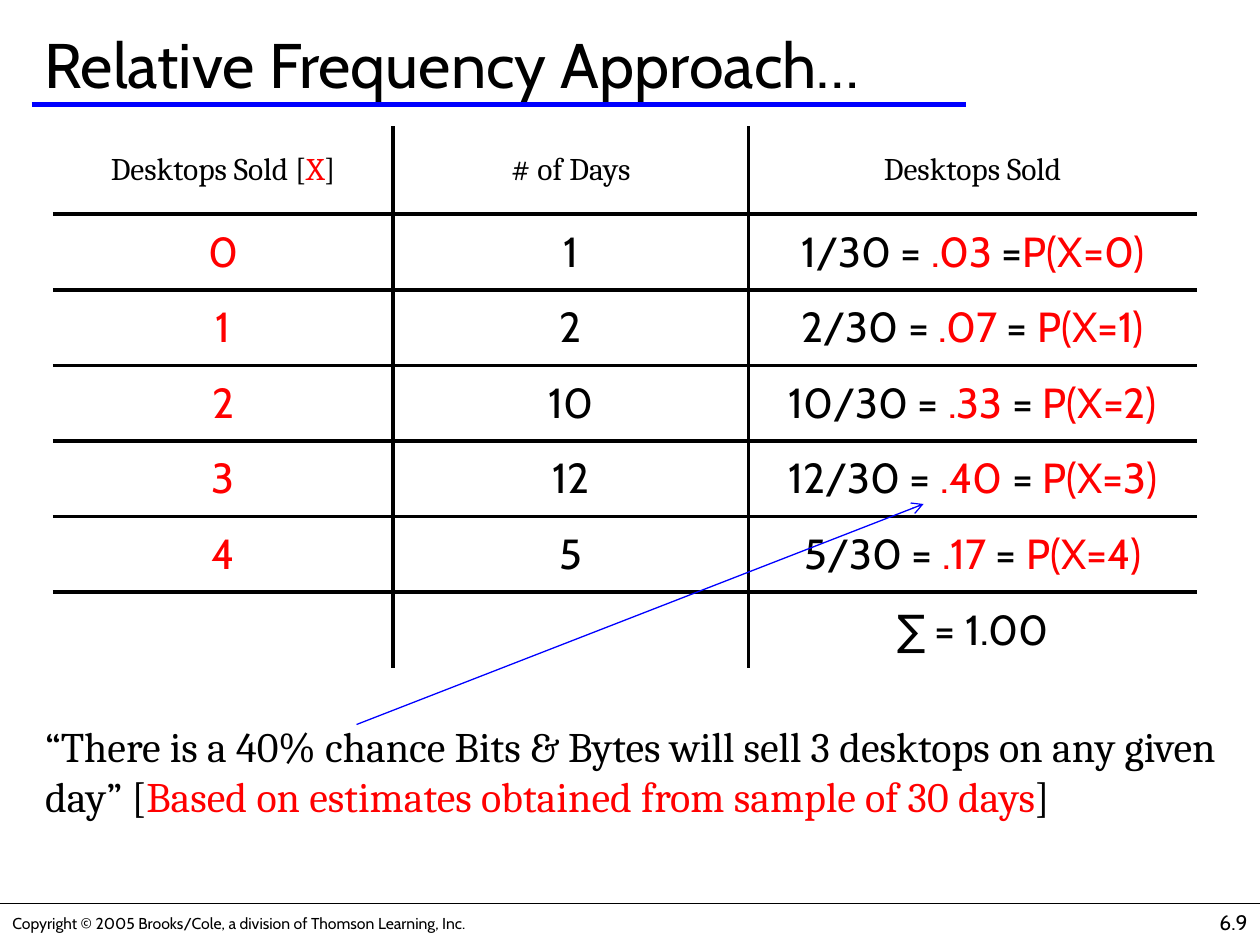
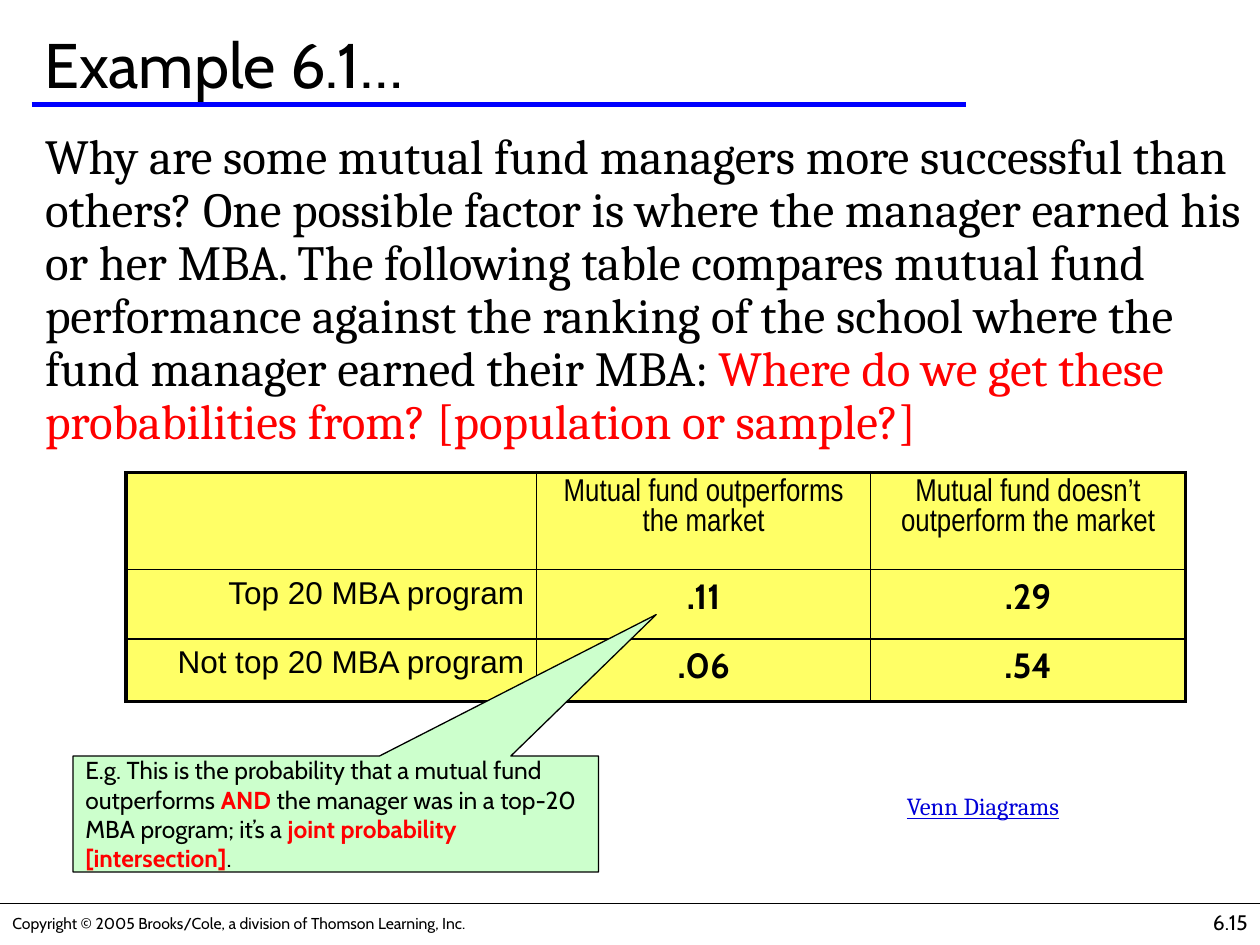
from lxml import etree
from pptx import Presentation
from pptx.dml.color import RGBColor
from pptx.enum.shapes import MSO_CONNECTOR, MSO_SHAPE
from pptx.enum.text import MSO_ANCHOR, MSO_AUTO_SIZE, PP_ALIGN
from pptx.oxml.ns import qn
from pptx.util import Inches, Pt

COLORS = {"ink": "000000", "accent": "FF0000", "rule": "0000FF", "link": "0000D8",
          "cell": "FFFF66", "callout": "CCFFCC"}
HEAD, BODY = "Cabin", "Cambria"
LEFT, CENTER, RIGHT = PP_ALIGN.LEFT, PP_ALIGN.CENTER, PP_ALIGN.RIGHT
TOP, MIDDLE = MSO_ANCHOR.TOP, MSO_ANCHOR.MIDDLE

# In every text, a bar switches between ink and accent colour.
COPYRIGHT = "Copyright © 2005 Brooks/Cole, a division of Thomson Learning, Inc."

FREQUENCY = {
    "title": "Relative Frequency Approach…", "number": "6.9",
    "quote": "“There is a 40% chance Bits & Bytes will sell 3 desktops on any given day” "
             "[|Based on estimates obtained from sample of 30 days|]",
    "rows": [
        ("Desktops Sold [|X|]", "# of Days", "Desktops Sold"),
        ("|0", "1", "1/30 = |.03| =|P(X=0)"),
        ("|1", "2", "2/30 = |.07| = |P(X=1)"),
        ("|2", "10", "10/30 = |.33| = |P(X=2)"),
        ("|3", "12", "12/30 = |.40| = |P(X=3)"),
        ("|4", "5", "5/30 = |.17| = |P(X=4)"),
        ("", "", "∑ = 1.00"),
    ],
    "widths": (2.7, 2.82, 3.56), "heights": (0.7,) + (0.6,) * 6,
}

MBA = {
    "title": "Example 6.1…", "number": "6.15",
    "question": "Why are some mutual fund managers more successful than others? One possible "
                "factor is where the manager earned his or her MBA. The following table "
                "compares mutual fund performance against the ranking of the school where the "
                "fund manager earned their MBA: |Where do we get these probabilities from? "
                "[population or sample?]",
    "rows": [
        ("", "Mutual fund outperforms the market", "Mutual fund doesn’t outperform the market"),
        ("Top 20 MBA program", ".11", ".29"),
        ("Not top 20 MBA program", ".06", ".54"),
    ],
    "widths": (3.26, 2.65, 2.5), "heights": (0.77, 0.55, 0.5),
    "callout": "E.g. This is the probability that a mutual fund outperforms |AND| the manager "
               "was in a top-20 MBA program; it’s a |joint probability [intersection]|.",
    "link": "Venn Diagrams",
}


def rgb(name):
    return RGBColor.from_string(COLORS[name])


def write(tf, text, size, font, align=LEFT, bold=False, bold_accent=False, color="ink"):
    """Fill the first paragraph, colouring every second piece between bars."""
    tf.word_wrap = True
    p = tf.paragraphs[0]
    p.alignment = align
    for i, piece in enumerate(text.split("|")):
        if not piece:
            continue
        r = p.add_run()
        r.text = piece
        accent = i % 2 == 1
        r.font.size, r.font.name = Pt(size), font
        r.font.bold = bold or (accent and bold_accent)
        r.font.color.rgb = rgb("accent" if accent else color)
    return p


def add_text(slide, box, text, size, font, anchor=TOP, **style):
    tf = slide.shapes.add_textbox(*map(Inches, box)).text_frame
    tf.vertical_anchor = anchor
    return write(tf, text, size, font, **style)


def add_line(slide, start, end, color, width, arrow=False):
    line = slide.shapes.add_connector(MSO_CONNECTOR.STRAIGHT, *map(Inches, start + end))
    line.line.color.rgb, line.line.width = rgb(color), Pt(width)
    if arrow:
        etree.SubElement(line.line._get_or_add_ln(), qn("a:tailEnd"), type="arrow")
    etree.SubElement(line._element.spPr, qn("a:effectLst"))


def set_borders(cell, widths):
    """Set left, right, top and bottom lines in points; 0 means none."""
    tc_pr = cell._tc.get_or_add_tcPr()
    for i, (side, width) in enumerate(zip("LRTB", widths)):
        ln = etree.Element(qn(f"a:ln{side}"), w=str(Pt(width)))
        if width:
            fill = etree.SubElement(ln, qn("a:solidFill"))
            etree.SubElement(fill, qn("a:srgbClr"), val=COLORS["ink"])
        else:
            etree.SubElement(ln, qn("a:noFill"))
        tc_pr.insert(i, ln)


def add_grid(slide, content, left, top, outer, inner, anchor, style_of, fill=None):
    """Add a table; style_of(row, column) gives the text style of a cell."""
    rows, widths, heights = content["rows"], content["widths"], content["heights"]
    n_rows, n_cols = len(rows), len(widths)
    table = slide.shapes.add_table(n_rows, n_cols, Inches(left), Inches(top),
                                   Inches(sum(widths)), Inches(sum(heights))).table
    table.first_row = table.horz_banding = False
    for column, width in zip(table.columns, widths):
        column.width = Inches(width)
    for i, row in enumerate(rows):
        table.rows[i].height = Inches(heights[i])
        for j, text in enumerate(row):
            cell = table.cell(i, j)
            cell.vertical_anchor = anchor
            if fill:
                cell.fill.solid()
                cell.fill.fore_color.rgb = rgb(fill)
            else:
                cell.fill.background()
            at_edge = (j == 0, j == n_cols - 1, i == 0, i == n_rows - 1)
            set_borders(cell, [outer if edge else inner for edge in at_edge])
            write(cell.text_frame, text, **style_of(i, j))


def add_framed_slide(prs, content):
    """Add a slide with its title, rules, copyright line and page number."""
    slide = prs.slides.add_slide(prs.slide_layouts[5])
    add_text(slide, (0, 7.2, 4.78, 0.25), COPYRIGHT, 9, HEAD, MIDDLE)
    add_line(slide, (0, 7.17), (10, 7.17), "ink", 0.75)
    add_line(slide, (0.25, 0.83), (7.67, 0.83), "rule", 2.5)
    add_text(slide, (7.92, 7.17, 2.08, 0.33), content["number"], 12, HEAD, align=RIGHT)
    title = slide.shapes.title
    title.left, title.top, title.width, title.height = map(Inches, (0.25, 0.17, 9.58, 0.67))
    tf = title.text_frame
    tf.auto_size, tf.vertical_anchor = MSO_AUTO_SIZE.NONE, MIDDLE
    write(tf, content["title"], 36, HEAD)
    return slide


def frequency_style(row, column):
    size, font = (18, BODY) if row == 0 else (24, HEAD)
    return dict(size=size, font=font, align=CENTER)


def mba_style(row, column):
    if row == 0:
        return dict(size=18, font="Arial Narrow", align=CENTER)
    if column == 0:
        return dict(size=18, font="Arial", align=RIGHT)
    return dict(size=20, font=HEAD, align=CENTER, bold=True)


def build_frequency(prs):
    slide = add_framed_slide(prs, FREQUENCY)
    add_text(slide, (0.26, 5.67, 9.74, 1.33), FREQUENCY["quote"], 24, BODY)
    add_grid(slide, FREQUENCY, 0.42, 1, 0, 2.25, MIDDLE, frequency_style)
    add_line(slide, (2.83, 5.75), (7.33, 4), "rule", 0.75, arrow=True)


def build_mba(prs):
    slide = add_framed_slide(prs, MBA)
    add_text(slide, (0.26, 1, 9.74, 2.7), MBA["question"], 28, BODY).line_spacing = 0.9
    add_grid(slide, MBA, 1, 3.75, 2.25, 1, TOP, mba_style, "cell")

    callout = slide.shapes.add_shape(MSO_SHAPE.RECTANGULAR_CALLOUT,
                                     *map(Inches, (0.58, 6, 4.17, 0.92)))
    callout.adjustments[0], callout.adjustments[1] = 0.61, -1.72
    callout.shadow.inherit = False
    callout.fill.solid()
    callout.fill.fore_color.rgb = rgb("callout")
    callout.line.color.rgb, callout.line.width = rgb("ink"), Pt(0.75)
    callout.text_frame.vertical_anchor = MIDDLE
    write(callout.text_frame, MBA["callout"], 14, HEAD, bold_accent=True)

    link = add_text(slide, (7.1, 6.23, 1.5, 0.33), MBA["link"], 14, BODY, color="link")
    link.runs[0].font.underline = True


def main():
    prs = Presentation()
    prs.slide_width, prs.slide_height = Inches(10), Inches(7.5)
    build_frequency(prs)
    build_mba(prs)
    prs.save("out.pptx")


if __name__ == "__main__":
    main()
